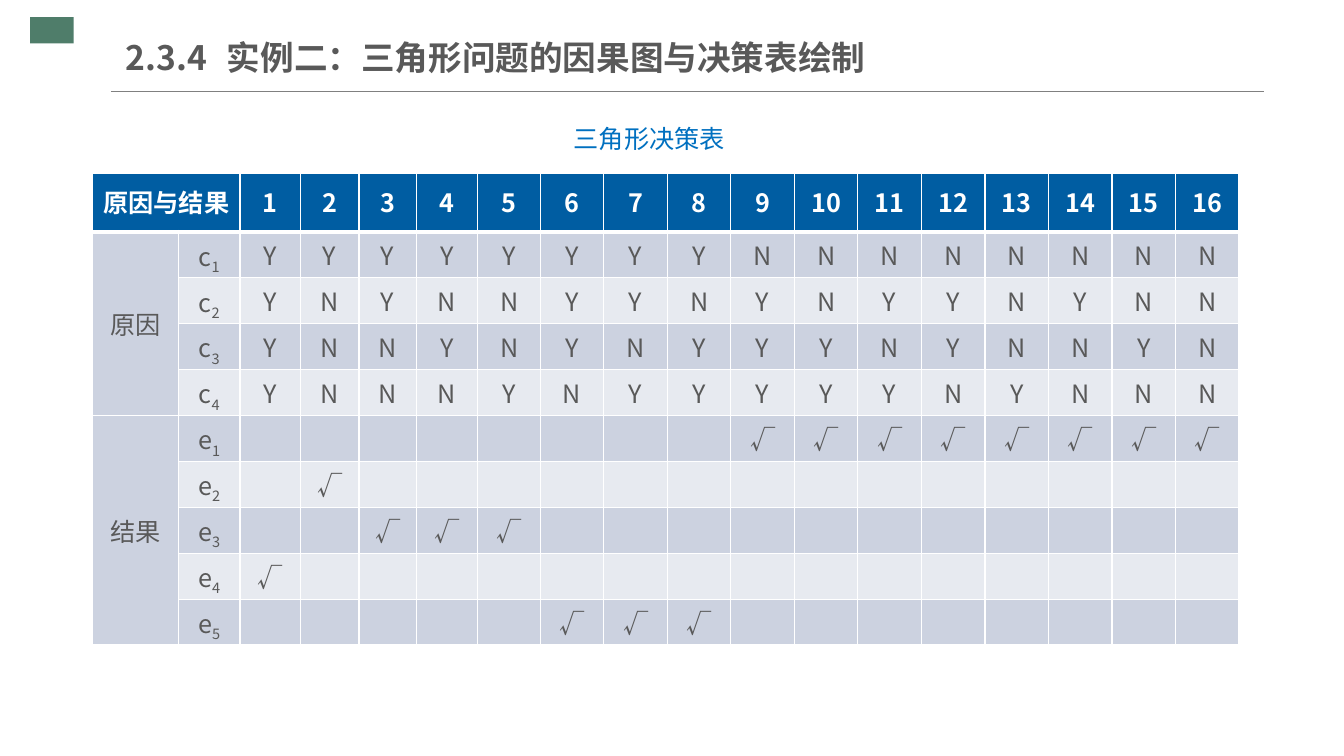
import lxml.etree
import pptx
import pptx.dml.color
import pptx.enum.shapes
import pptx.enum.text
import pptx.oxml.ns
import pptx.util

Inches = pptx.util.Inches
RGBColor = pptx.dml.color.RGBColor
Align = pptx.enum.text.PP_ALIGN
Anchor = pptx.enum.text.MSO_ANCHOR
qn = pptx.oxml.ns.qn

FONT = "Noto Sans CJK SC"
WHITE = RGBColor(0xFF, 0xFF, 0xFF)
GREEN = RGBColor(0x4F, 0x7D, 0x6A)
GRAY = RGBColor(0x80, 0x80, 0x80)
TEXT = RGBColor(0x59, 0x59, 0x59)
BLUE = RGBColor(0x00, 0x70, 0xC0)
HEADER = RGBColor(0x00, 0x5D, 0xA2)
BAND_DARK = RGBColor(0xCC, 0xD2, 0xE0)
BAND_LIGHT = RGBColor(0xE7, 0xEA, 0xF0)

COLUMN_WIDTHS = [0.85, 0.61, 0.6, 0.58, 0.57, 0.61] + [0.62] + [0.63] * 11
HEADER_HEIGHT = 0.58
CAUSES = ["YYYYYYYYNNNNNNNN", "YNYNNYYNYNYYNYNN",
          "YNNYNYNYYYNYNNYN", "YNNNYNYYYYYNYNNN"]
EFFECTS = [range(9, 17), [2], [3, 4, 5], [1], [6, 7, 8]]
RULES = range(1, 17)


def add_run(p, text, color, size=18, bold=False, subscript=False):
    """Add one formatted run to a paragraph."""
    r = p.add_run()
    r.text = text
    r.font.size = pptx.util.Pt(size)
    r.font.bold = bold
    r.font.color.rgb = color
    r.font.name = FONT
    rPr = r.font._element
    lxml.etree.SubElement(rPr, qn("a:ea")).set("typeface", FONT)
    if subscript:
        rPr.set("baseline", "-25000")


def add_text(s, box, text, color, size, insets, bold=False,
             anchor=Anchor.TOP, align=Align.LEFT, spacing=1.0):
    """Add a one-paragraph text box with the given side and end insets."""
    tf = s.shapes.add_textbox(*map(Inches, box)).text_frame
    tf.word_wrap = True
    tf.vertical_anchor = anchor
    tf.margin_left = tf.margin_right = Inches(insets[0])
    tf.margin_top = tf.margin_bottom = Inches(insets[1])
    p = tf.paragraphs[0]
    p.alignment = align
    p.line_spacing = spacing
    add_run(p, text, color, size, bold)


def add_heading(s, left, top):
    """Place the corner block, the rule and the slide title."""
    sp = s.shapes.add_shape(pptx.enum.shapes.MSO_SHAPE.RECTANGLE,
                            Inches(left), Inches(top), Inches(0.43), Inches(0.26))
    sp.shadow.inherit = False
    sp.fill.solid()
    sp.fill.fore_color.rgb = GREEN
    sp.line.fill.background()
    y = Inches(top + 0.74)
    rule = s.shapes.add_connector(pptx.enum.shapes.MSO_CONNECTOR.STRAIGHT,
                                  Inches(left + 0.8), y, Inches(left + 12.24), y)
    rule.line.color.rgb = GRAY
    rule.line.width = pptx.util.Pt(0.75)
    lxml.etree.SubElement(rule._element.spPr, qn("a:effectLst"))
    add_text(s, (left + 0.95, top + 0.12, 7.67, 0.55),
             "2.3.4\t实例二：三角形问题的因果图与决策表绘制",
             TEXT, 24, (0, 0.07), bold=True, anchor=Anchor.MIDDLE)


def style_cell(cell, fill, top=1, bottom=1):
    """Give a cell white borders, a fill and centred text."""
    tcPr = cell._tc.get_or_add_tcPr()
    for side, width in (("L", 1), ("R", 1), ("T", top), ("B", bottom)):
        ln = lxml.etree.SubElement(tcPr, qn("a:ln" + side), w=str(pptx.util.Pt(width)))
        paint = lxml.etree.SubElement(ln, qn("a:solidFill"))
        lxml.etree.SubElement(paint, qn("a:srgbClr"), val=str(WHITE))
    cell.fill.solid()
    cell.fill.fore_color.rgb = fill
    cell.vertical_anchor = Anchor.MIDDLE
    cell.text_frame.paragraphs[0].alignment = Align.CENTER


def fill_header(table):
    """Write the header row."""
    for column, cell in enumerate(table.rows[0].cells):
        style_cell(cell, HEADER, bottom=3)
        p = cell.text_frame.paragraphs[0]
        p.line_spacing = 0.9
        if column != 1:
            text = str(column - 1) if column else "原因与结果"
            add_run(p, text, WHITE, bold=True)
    table.cell(0, 0).merge(table.cell(0, 1))


def fill_group(table, first, title, letter, marks):
    """Write one group of rows under a merged title cell."""
    for number, row_marks in enumerate(marks, 1):
        row = first + number - 1
        band = BAND_DARK if row % 2 else BAND_LIGHT
        for column, cell in enumerate(table.rows[row].cells):
            style_cell(cell, band if column else BAND_DARK, top=3 if row == 1 else 1)
            p = cell.text_frame.paragraphs[0]
            if column == 1:
                add_run(p, letter, TEXT)
                add_run(p, str(number), TEXT, subscript=True)
            elif column > 1 and row_marks[column - 2]:
                cell.margin_left = cell.margin_right = Inches(0.07)
                cell.margin_top = cell.margin_bottom = 0
                add_run(p, row_marks[column - 2], TEXT)
    title_cell = table.cell(first, 0)
    title_cell.merge(table.cell(first + len(marks) - 1, 0))
    add_run(title_cell.text_frame.paragraphs[0], title, TEXT)


def add_decision_table(s, left, top, width, height):
    """Place the decision table in the given box."""
    effects = [["√" if rule in hits else "" for rule in RULES] for hits in EFFECTS]
    body_rows = len(CAUSES) + len(effects)
    table = s.shapes.add_table(body_rows + 1, len(COLUMN_WIDTHS),
                               *map(Inches, (left, top, width, height))).table
    table.first_row = table.horz_banding = False
    for column, column_width in zip(table.columns, COLUMN_WIDTHS):
        column.width = Inches(column_width)
    for row in table.rows:
        row.height = Inches((height - HEADER_HEIGHT) / body_rows)
    table.rows[0].height = Inches(HEADER_HEIGHT)
    fill_header(table)
    fill_group(table, 1, "原因", "c", CAUSES)
    fill_group(table, 1 + len(CAUSES), "结果", "e", effects)


def main():
    """Build the slide and save it."""
    prs = pptx.Presentation()
    prs.slide_width, prs.slide_height = Inches(13.33), Inches(7.5)
    s = prs.slides.add_slide(prs.slide_layouts[6])
    add_heading(s, 0.3, 0.17)
    add_decision_table(s, 0.92, 1.72, 11.35, 4.68)
    add_text(s, (5.56, 1, 1.86, 0.73), "三角形决策表", BLUE, 18, (0.13, 0.07),
             align=Align.JUSTIFY, spacing=1.5)
    prs.save("out.pptx")


if __name__ == "__main__":
    main()
